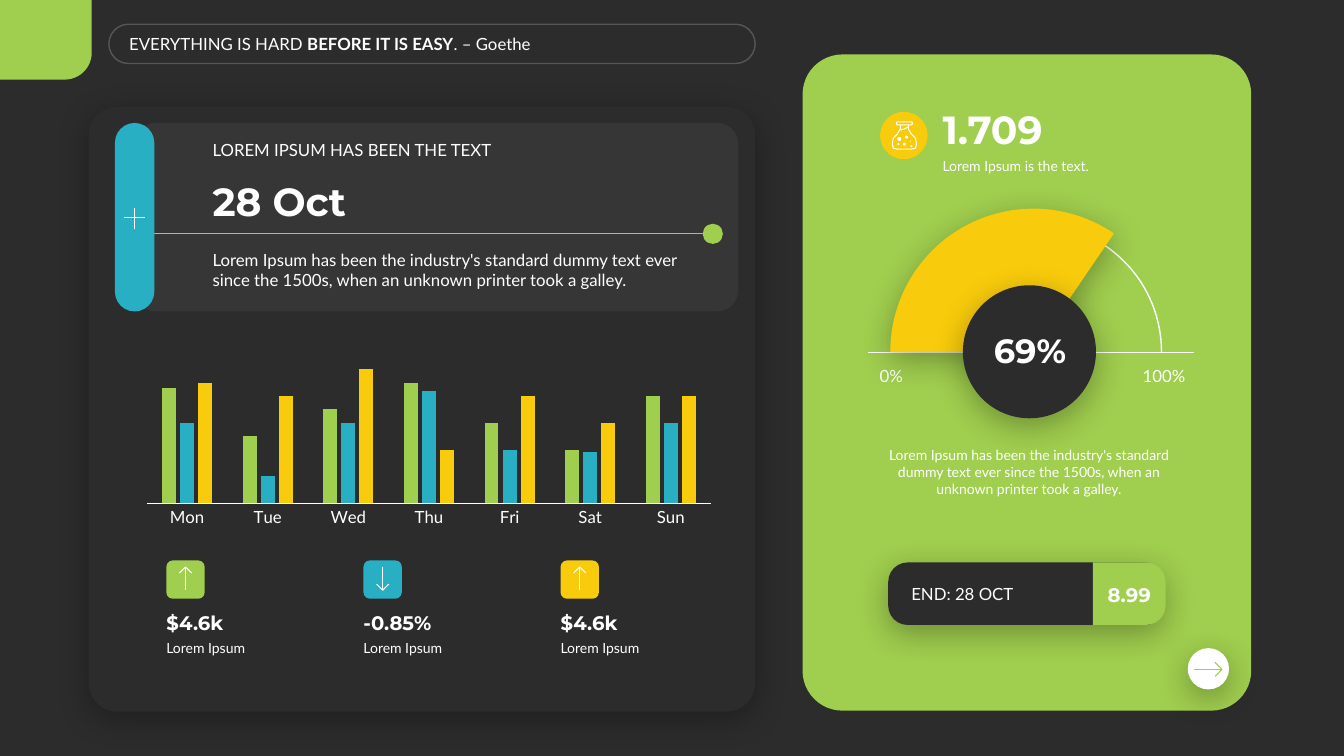
from lxml import etree
from pptx import Presentation
from pptx import util as u
from pptx.chart.data import CategoryChartData
from pptx.dml.color import RGBColor
from pptx.enum import chart as ch
from pptx.enum import shapes as sh
from pptx.enum import text as tx
from pptx.oxml import parse_xml
from pptx.oxml.ns import nsdecls, qn

DARK = RGBColor(0x2C, 0x2C, 0x2C)
WHITE = RGBColor(0xFF, 0xFF, 0xFF)
GREEN = RGBColor(0xA0, 0xCE, 0x4E)
BLUE = RGBColor(0x28, 0xAF, 0xC3)
YELLOW = RGBColor(0xF8, 0xCB, 0x0C)

QUOTE = [("EVERYTHING IS HARD ", False), ("BEFORE IT IS EASY", True), (". – Goethe", False)]
EVENT_HEADING = "LOREM IPSUM HAS BEEN THE TEXT"
EVENT_DATE = "28 Oct"
BLURB = ("Lorem Ipsum has been the industry's standard dummy text ever since the 1500s, "
         "when an unknown printer took a galley.")
DAYS = ["Mon", "Tue", "Wed", "Thu", "Fri", "Sat", "Sun"]
SERIES = [
    ("Series 1", [86, 50, 70, 90, 60, 40, 80], GREEN),
    ("Series 2", [60, 20, 60, 84, 40, 38, 60], BLUE),
    ("Series 3", [90, 80, 100, 40, 80, 60, 80], YELLOW),
]
# value, caption, badge colour, arrow direction (1 is down)
STATS = [
    ("$4.6k", "Lorem Ipsum", GREEN, -1),
    ("-0.85%", "Lorem Ipsum", BLUE, 1),
    ("$4.6k", "Lorem Ipsum", YELLOW, -1),
]
SCALE_LABELS = [("0%", 8.68, 0.32), ("100%", 11.25, 0.59)]
FLASK_CENTRE = 8.97
FLASK_LEFT_SIDE = [(8.93, 1.24), (8.93, 1.28), (8.9, 1.33), (8.86, 1.37),
                   (8.85, 1.43), (8.86, 1.47), (8.9, 1.48)]
BUBBLES = [(8.92, 1.38, 0.04), (8.99, 1.36, 0.03), (8.97, 1.43, 0.03),
           (8.91, 1.43, 0.02), (9.04, 1.45, 0.02), (9.03, 1.4, 0.01)]

S = sh.MSO_SHAPE
LEFT, CENTER = tx.PP_ALIGN.LEFT, tx.PP_ALIGN.CENTER
TOP, MIDDLE, BOTTOM = tx.MSO_ANCHOR.TOP, tx.MSO_ANCHOR.MIDDLE, tx.MSO_ANCHOR.BOTTOM
LATO = {"name": "Lato", "size": u.Pt(12), "bold": False}
SMALL = {**LATO, "size": u.Pt(10)}
BOLD = {"name": "Montserrat", "size": u.Pt(14), "bold": True}
LARGE = {**BOLD, "size": u.Pt(28)}

presentation = Presentation()
presentation.slide_width, presentation.slide_height = u.Inches(13.33), u.Inches(7.5)
slide = presentation.slides.add_slide(presentation.slide_layouts[5])
slide.background.fill.solid()
slide.background.fill.fore_color.rgb = DARK


def inches(values):
    return [u.Inches(value) for value in values]


def set_alpha(shape, parent, percent):
    color = shape._element.spPr.find(f"{parent}/{qn('a:srgbClr')}")
    etree.SubElement(color, qn("a:alpha"), val=str(percent * 1000))


def add_part(kind, box, fill=None, line=None, width=1, adjust=(), shadow=False, turned=False):
    """Add a preset shape; turned rotates it a quarter while it still covers box."""
    x, y, w, h = box
    if turned:
        x, y, w, h = x + (w - h) / 2, y + (h - w) / 2, h, w
    shape = slide.shapes.add_shape(kind, *inches((x, y, w, h)))
    shape.rotation = 90 if turned else 0
    for index, value in enumerate(adjust):
        shape.adjustments[index] = value
    paint(shape, fill, line, width)
    if shadow:
        shape._element.spPr.find(qn("a:effectLst")).append(parse_xml(
            f'<a:outerShdw {nsdecls("a")} blurRad="{u.Pt(23)}" dist="{u.Pt(6)}" dir="5400000" '
            'algn="t" rotWithShape="0"><a:srgbClr val="000000"><a:alpha val="30000"/>'
            '</a:srgbClr></a:outerShdw>'))
    return shape


def paint(shape, fill, line, width):
    shape.shadow.inherit = False
    if fill is None:
        shape.fill.background()
    else:
        shape.fill.solid()
        shape.fill.fore_color.rgb = fill
    if line is None:
        shape.line.fill.background()
    else:
        shape.line.color.rgb = line
        shape.line.width = u.Pt(width)


def add_strokes(strokes, color, width=0.75):
    """Draw one or more open polylines as a single outline."""
    builder = slide.shapes.build_freeform(*inches(strokes[0][0]))
    for index, (start, *rest) in enumerate(strokes):
        if index:
            builder.move_to(*inches(start))
        builder.add_line_segments([inches(point) for point in rest], close=False)
    paint(builder.convert_to_shape(), None, color, width)


def add_arrow(x, y, dx, dy, length, wing, color):
    tip = (x + dx * length / 2, y + dy * length / 2)
    tail = (x - dx * length / 2, y - dy * length / 2)
    wings = [(tip[0] - wing * (dx + side * dy), tip[1] - wing * (dy + side * dx))
             for side in (-1, 1)]
    add_strokes([[tail, tip], [wings[0], tip, wings[1]]], color)


def add_line(start, end, color, width):
    line = slide.shapes.add_connector(sh.MSO_CONNECTOR.STRAIGHT, *inches(start + end))
    line.line.color.rgb = color
    line.line.width = u.Pt(width)
    etree.SubElement(line._element.spPr, qn("a:effectLst"))


def write(shape, runs, font, align=LEFT, anchor=TOP, margins=(0.1, 0.05), wrap=True):
    frame = shape.text_frame
    side, edge = inches(margins)
    settings = {"word_wrap": wrap, "auto_size": tx.MSO_AUTO_SIZE.NONE, "vertical_anchor": anchor,
                "margin_left": side, "margin_right": side,
                "margin_top": edge, "margin_bottom": edge}
    for name, value in settings.items():
        setattr(frame, name, value)
    paragraph = frame.paragraphs[0]
    paragraph.alignment = align
    for words, bold in runs:
        run = paragraph.add_run()
        run.text = words
        for name, value in {**font, "bold": bold}.items():
            setattr(run.font, name, value)
        run.font.color.rgb = WHITE


def add_text(box, words, font, **layout):
    write(slide.shapes.add_textbox(*inches(box)), [(words, font["bold"])], font, **layout)


def add_week_chart(box):
    data = CategoryChartData()
    data.categories = DAYS
    for name, values, _ in SERIES:
        data.add_series(name, values)
    chart = slide.shapes.add_chart(ch.XL_CHART_TYPE.COLUMN_CLUSTERED, *inches(box), data).chart
    chart.has_legend = chart.has_title = False
    chart.font.name, chart.font.size = "Lato", u.Pt(12)
    chart.font.color.rgb = WHITE
    plot = chart.plots[0]
    plot.gap_width, plot.overlap, plot.vary_by_categories = 220, -30, False
    for series, (_, _, color) in zip(plot.series, SERIES):
        series.format.fill.solid()
        series.format.fill.fore_color.rgb = color
    days, values = chart.category_axis, chart.value_axis
    days.major_tick_mark = ch.XL_TICK_MARK.NONE
    days.format.line.color.rgb = WHITE
    days.format.line.width = u.Pt(0.75)
    values.visible = values.has_major_gridlines = False
    values.minimum_scale, values.maximum_scale = 0, 120
    area = chart._chartSpace.find(f".//{qn('c:plotArea')}")
    for old in area.findall(qn("c:layout")):
        area.remove(old)
    places = "".join(f'<c:{tag} val="{value}"/>' for tag, value in
                     [("xMode", "edge"), ("yMode", "edge"),
                      ("x", 0.02), ("y", 0.02), ("w", 0.96), ("h", 0.83)])
    area.insert(0, parse_xml(f'<c:layout {nsdecls("c")}><c:manualLayout>'
                             f'<c:layoutTarget val="inner"/>{places}</c:manualLayout></c:layout>'))


# Header and panels
title = slide.shapes.title
title.left, title.top, title.width, title.height = inches((1.24, 0.28, 6.08, 0.3))
write(title, QUOTE, LATO, anchor=MIDDLE, margins=(0.04, 0.05))
add_part(S.ROUNDED_RECTANGLE, (0.88, 1.06, 6.61, 6), DARK, adjust=[0.047], shadow=True)
quote_frame = add_part(S.ROUNDED_RECTANGLE, (1.08, 0.24, 6.41, 0.39), line=WHITE, adjust=[0.5])
set_alpha(quote_frame, f"{qn('a:ln')}/{qn('a:solidFill')}", 20)
add_part(S.ROUND_1_RECTANGLE, (0, 0, 0.91, 0.79), GREEN, adjust=[0.34], turned=True)
add_part(S.ROUNDED_RECTANGLE, (7.96, 0.54, 4.45, 6.51), GREEN, adjust=[0.089])

# Event card
event_card = add_part(S.ROUNDED_RECTANGLE, (1.34, 1.22, 5.98, 1.87), WHITE, adjust=[0.109])
set_alpha(event_card, qn("a:solidFill"), 5)
add_text((2.01, 2.43, 5.1, 0.5), BLURB, LATO)
add_text((2.01, 1.71, 5.1, 0.57), EVENT_DATE, LARGE, anchor=BOTTOM)
add_text((2.01, 1.34, 5.1, 0.3), EVENT_HEADING, LATO, anchor=BOTTOM)
add_line((1.44, 2.32), (6.97, 2.32), GREEN, 0.5)
add_part(S.OVAL, (6.97, 2.22, 0.2, 0.2), GREEN)
add_part(S.ROUNDED_RECTANGLE, (1.14, 1.22, 0.39, 1.87), BLUE, adjust=[0.5])
add_strokes([[(1.23, 2.16), (1.44, 2.16)], [(1.33, 2.06), (1.33, 2.27)]], WHITE)

# Week chart and figures below it
add_week_chart((1.34, 3.36, 5.83, 1.92))
for index, (value, caption, color, direction) in enumerate(STATS):
    x = 1.65 + index * 3.91 / 2
    add_part(S.ROUNDED_RECTANGLE, (x, 5.56, 0.38, 0.38), color)
    add_arrow(x + 0.19, 5.74, 0, direction, 0.23, 0.06, WHITE)
    add_text((x, 6.3, 1.41, 0.27), caption, SMALL, margins=(0, 0.05))
    add_text((x, 6, 1.41, 0.34), value, BOLD, anchor=BOTTOM, margins=(0, 0.05))

# Flask and its number
add_text((9.25, 1.51, 2.73, 0.27), "Lorem Ipsum is the text.", SMALL)
add_text((9.25, 0.99, 2.73, 0.57), "1.709", LARGE, anchor=BOTTOM)
add_part(S.OVAL, (8.73, 1.11, 0.47, 0.47), YELLOW)
right_side = [(2 * FLASK_CENTRE - x, y) for x, y in reversed(FLASK_LEFT_SIDE)]
add_strokes([FLASK_LEFT_SIDE + right_side, [(8.93, 1.29), (8.97, 1.28), (9.01, 1.26)]], WHITE)
add_part(S.ROUNDED_RECTANGLE, (8.89, 1.21, 0.16, 0.03), line=WHITE, width=0.75, adjust=[0.5])
for x, y, size in BUBBLES:
    add_part(S.OVAL, (x - size / 2, y - size / 2, size, size), WHITE)

# Gauge
add_part(S.ARC, (8.98, 2.22, 2.54, 2.54), line=WHITE, adjust=[107.892, 0])
add_line((8.61, 3.5), (11.84, 3.5), WHITE, 1)
for label, x, width in SCALE_LABELS:
    add_text((x, 3.59, width, 0.28), label, LATO, align=CENTER, anchor=MIDDLE,
             margins=(0, 0), wrap=False)
add_part(S.ARC, (8.83, 2.07, 2.84, 2.84), YELLOW, adjust=[107.892, 182.544], shadow=True)
add_text((8.54, 4.38, 3.33, 0.61), BLURB, SMALL, align=CENTER)
add_part(S.OVAL, (9.55, 2.83, 1.32, 1.32), DARK, shadow=True)
add_text((9.47, 3.22, 1.49, 0.5), "69%", {**BOLD, "size": u.Pt(24)}, align=CENTER, anchor=MIDDLE)

# Next button and price bar
add_part(S.OVAL, (11.78, 6.43, 0.41, 0.41), WHITE, shadow=True)
add_arrow(11.98, 6.64, 1, 0, 0.28, 0.07, GREEN)
add_part(S.ROUNDED_RECTANGLE, (8.81, 5.58, 2.74, 0.62), DARK, adjust=[0.311], shadow=True)
add_text((8.94, 5.74, 1.96, 0.3), "END: 28 OCT", LATO, anchor=MIDDLE)
add_part(S.ROUND_2_SAME_RECTANGLE, (10.84, 5.58, 0.72, 0.62), GREEN, adjust=[0.31, 0], turned=True)
add_text((10.84, 5.73, 0.72, 0.34), "8.99", BOLD, align=CENTER, anchor=MIDDLE,
         margins=(0.04, 0.05))

presentation.save("out.pptx")
